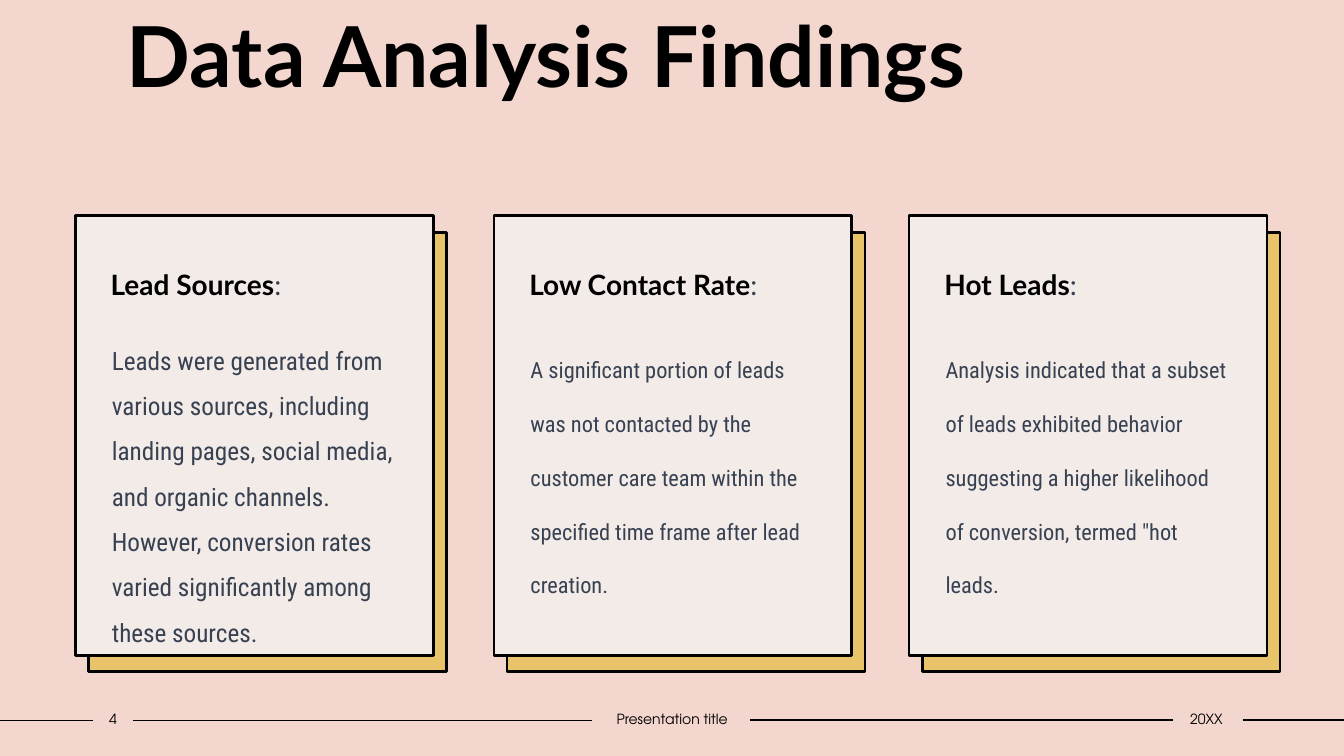
from lxml import etree
from pptx import Presentation
from pptx import util as u
from pptx.dml.color import RGBColor
from pptx.enum import shapes, text

INK, BODY, GOLD, PAPER, PINK = "000000", "374151", "E9C369", "F3EBE8", "F3D6CD"
DRAWING = "http://schemas.openxmlformats.org/drawingml/2006/main"
CARDS = [
    (1.9, "Lead Sources", 18, 1.5, 7.92,
     "Leads were generated from various sources, including landing pages, social media, "
     "and organic channels. However, conversion rates varied significantly among these sources."),
    (12.45, "Low Contact Rate", 16, 2.0, 7.62,
     "A significant portion of leads was not contacted by the customer care team within "
     "the specified time frame after lead creation."),
    (22.91, "Hot Leads", 16, 2.0, 7.62,
     "Analysis indicated that a subset of leads exhibited behavior suggesting a higher "
     "likelihood of conversion, termed \"hot leads."),
]
FOOTER_LINES = [(0, 2.34, 0.38), (3.35, 14.91, 0.38), (18.9, 29.57, 0.36), (31.32, 33.87, 0.36)]
FOOTER_LABELS = [(2.34, 1.02, "4"), (14.91, 4.06, "Presentation title"), (29.51, 1.78, "20XX")]


def colour(value):
    """Turn a hex string into a colour."""
    return RGBColor.from_string(value)


def apply(target, values):
    """Set every attribute named in a dict."""
    for name, value in values.items():
        setattr(target, name, value)


def set_frame(shape, insets, anchor=text.MSO_ANCHOR.TOP):
    """Prepare a text frame with insets in cm and return its first paragraph."""
    left, top, right, bottom = map(u.Cm, insets)
    apply(shape.text_frame, dict(
        word_wrap=True, auto_size=text.MSO_AUTO_SIZE.NONE, vertical_anchor=anchor,
        margin_left=left, margin_top=top, margin_right=right, margin_bottom=bottom))
    return shape.text_frame.paragraphs[0]


def add_span(para, words, font, size, ink=INK, bold=False):
    """Append formatted words to a paragraph."""
    span = para.add_run()
    span.text = words
    apply(span.font, dict(name=font, size=u.Pt(size), bold=bold))
    span.font.color.rgb = colour(ink)


def add_panel(page, left, top, width, height, fill):
    """Add an outlined rectangle."""
    panel = page.shapes.add_shape(
        shapes.MSO_SHAPE.RECTANGLE, *map(u.Cm, (left, top, width, height)))
    panel.shadow.inherit = False
    panel.fill.solid()
    panel.fill.fore_color.rgb = colour(fill)
    panel.line.color.rgb = colour(INK)
    panel.line.width = u.Pt(2)
    return panel


def add_title(page, left, top, width, height, words):
    """Place and format the title placeholder."""
    title = page.shapes.title
    apply(title, dict(left=u.Cm(left), top=u.Cm(top), width=u.Cm(width), height=u.Cm(height)))
    para = set_frame(title, (0.25, 0.13, 0.25, 0.13))
    para.alignment = text.PP_ALIGN.LEFT
    add_span(para, words, "Lato", 60, bold=True)


def add_card(page, left, top, width, height, heading, size, spacing, text_width, words):
    """Add a card with its offset backing, heading and body text."""
    add_panel(page, left + 0.33, top + 0.41, width, height, GOLD)
    para = set_frame(add_panel(page, left, top, width, height, PAPER), (0.89, 1.4, 0.25, 0.13))
    apply(para, dict(alignment=text.PP_ALIGN.LEFT, line_spacing=0.9, space_before=u.Pt(10)))
    add_span(para, heading, "Lato", 20, bold=True)
    add_span(para, ":", "Lato", 20, BODY)
    body = page.shapes.add_textbox(*map(u.Cm, (left + 0.67, top + 2.74, text_width, 7.75)))
    para = set_frame(body, (0.25, 0.13, 0.25, 0.13))
    para.line_spacing = spacing
    add_span(para, words, "Roboto Condensed", size, BODY)


def add_footer(page, top, height):
    """Add the footer rules and the labels between them."""
    for start, end, drop in FOOTER_LINES:
        rule = page.shapes.add_connector(
            shapes.MSO_CONNECTOR.STRAIGHT, *map(u.Cm, (start, top + drop, end, top + drop)))
        rule.line.color.rgb = colour(INK)
        rule.line.width = u.Pt(1)
        etree.SubElement(rule._element.spPr, f"{{{DRAWING}}}effectLst")
    for left, width, words in FOOTER_LABELS:
        label = page.shapes.add_textbox(*map(u.Cm, (left, top, width, height)))
        para = set_frame(label, (0, 0.13, 0, 0.13), text.MSO_ANCHOR.MIDDLE)
        para.alignment = text.PP_ALIGN.CENTER
        add_span(para, words, "TeX Gyre Adventor", 10)


def main():
    """Build and save the slide."""
    deck = Presentation()
    apply(deck, dict(slide_width=u.Cm(33.87), slide_height=u.Cm(19.05)))
    page = deck.slides.add_slide(deck.slide_layouts[5])
    page.background.fill.solid()
    page.background.fill.fore_color.rgb = colour(PINK)
    add_title(page, 2.95, -0.05, 25.93, 2.24, "Data Analysis Findings")
    for left, *content in CARDS:
        add_card(page, left, 5.44, 9.02, 11.07, *content)
    add_footer(page, 17.78, 0.69)
    deck.save("out.pptx")


if __name__ == "__main__":
    main()
